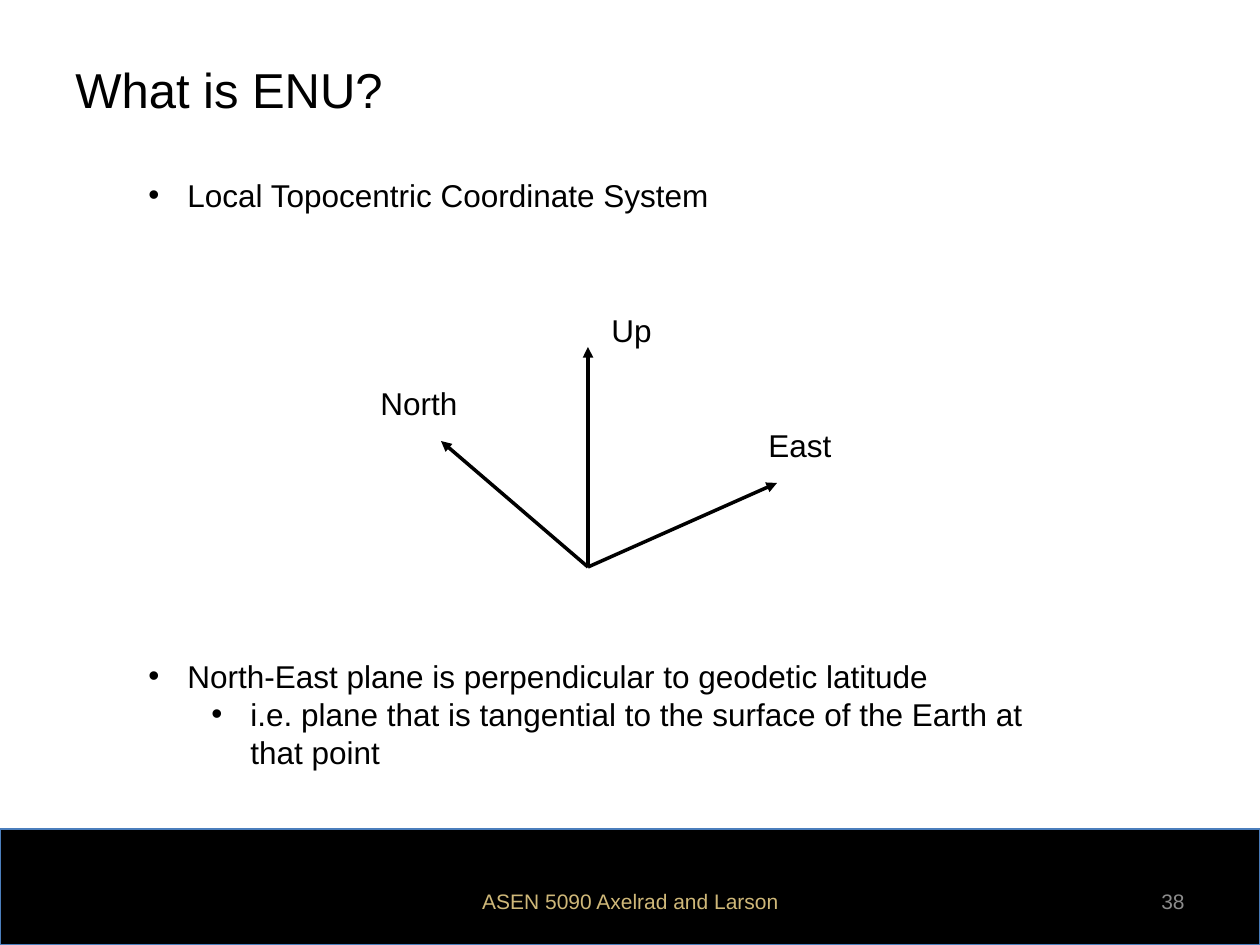
import pptx
import pptx.dml.color
import pptx.enum.shapes
import pptx.enum.text
import pptx.oxml.ns
import pptx.util
import lxml.etree

EMU_PER_PX = 914400 / 126
ALIGN = pptx.enum.text.PP_ALIGN
ANCHOR = pptx.enum.text.MSO_ANCHOR
BLACK = "000000"
GOLD = "CFB879"
GRAY = "8C8C8C"
BAND_EDGE = "4B7EBC"


def px(length):
    return pptx.util.Emu(round(length * EMU_PER_PX))


def color(value):
    return pptx.dml.color.RGBColor.from_string(value)


def add_element(parent, tag, **attributes):
    return lxml.etree.SubElement(parent, pptx.oxml.ns.qn(tag), attributes)


class SlideBuilder:
    font_name = "Arial"
    body_size = 18
    bullet_hang = 39
    level_step = 63

    def __init__(self, slide):
        self.slide = slide

    def band(self, left, top, width, height):
        shape = self.slide.shapes.add_shape(
            pptx.enum.shapes.MSO_SHAPE.RECTANGLE, px(left), px(top), px(width), px(height))
        shape.shadow.inherit = False
        shape.fill.solid()
        shape.fill.fore_color.rgb = color(BLACK)
        shape.line.color.rgb = color(BAND_EDGE)
        shape.line.width = pptx.util.Pt(0.75)

    def frame(self, left, top, width, height, anchor=ANCHOR.TOP, wrap=True):
        shape = self.slide.shapes.add_textbox(px(left), px(top), px(width), px(height))
        shape.text_frame.word_wrap = wrap
        shape.text_frame.vertical_anchor = anchor
        return shape.text_frame

    def run(self, paragraph, text, size, text_color):
        run = paragraph.add_run()
        run.text = text
        run.font.name = self.font_name
        run.font.size = pptx.util.Pt(size)
        run.font.color.rgb = color(text_color)

    def text(self, text, box, size=body_size, text_color=BLACK,
             align=ALIGN.LEFT, anchor=ANCHOR.MIDDLE, wrap=True):
        paragraph = self.frame(*box, anchor, wrap).paragraphs[0]
        paragraph.alignment = align
        self.run(paragraph, text, size, text_color)

    def bullets(self, items, box):
        frame = self.frame(*box)
        for index, (level, text) in enumerate(items):
            paragraph = frame.add_paragraph() if index else frame.paragraphs[0]
            paragraph.level = level
            properties = paragraph._p.get_or_add_pPr()
            properties.set("marL", str(px(self.bullet_hang + level * self.level_step)))
            properties.set("indent", str(px(-self.bullet_hang)))
            add_element(properties, "a:buFont", typeface=self.font_name)
            add_element(properties, "a:buChar", char="•")
            self.run(paragraph, text, self.body_size, BLACK)

    def arrow(self, start, end):
        connector = self.slide.shapes.add_connector(
            pptx.enum.shapes.MSO_CONNECTOR.STRAIGHT, *map(px, start + end))
        connector.line.color.rgb = color(BLACK)
        connector.line.width = pptx.util.Pt(2)
        add_element(connector.line._get_or_add_ln(), "a:tailEnd", type="triangle")
        add_element(connector._element.spPr, "a:effectLst")


def main():
    presentation = pptx.Presentation()
    presentation.slide_width = px(1260)
    presentation.slide_height = px(945)
    builder = SlideBuilder(presentation.slides.add_slide(presentation.slide_layouts[6]))

    builder.band(0, 829, 1260, 116)
    builder.text("What is ENU?", (63, 10, 1134, 158), size=28)
    builder.text("ASEN 5090 Axelrad and Larson", (431, 876, 399, 50),
                 size=12, text_color=GOLD, align=ALIGN.CENTER)
    builder.text("38", (903, 876, 294, 50), size=12, text_color=GRAY, align=ALIGN.RIGHT)
    builder.bullets([(0, "Local Topocentric Coordinate System")], (136, 170, 898, 50))

    origin = (588, 567)
    axes = [
        ("North", (441, 441), (368, 378, 103, 50)),
        ("East", (777, 483), (756, 420, 89, 50)),
        ("Up", (588, 347), (599, 305, 66, 50)),
    ]
    for name, tip, label_box in axes:
        builder.arrow(origin, tip)
        builder.text(name, label_box, anchor=ANCHOR.TOP, wrap=False)

    builder.bullets([
        (0, "North-East plane is perpendicular to geodetic latitude"),
        (1, "i.e. plane that is tangential to the surface of the Earth at that point"),
    ], (136, 651, 914, 127))
    presentation.save("out.pptx")


if __name__ == "__main__":
    main()
